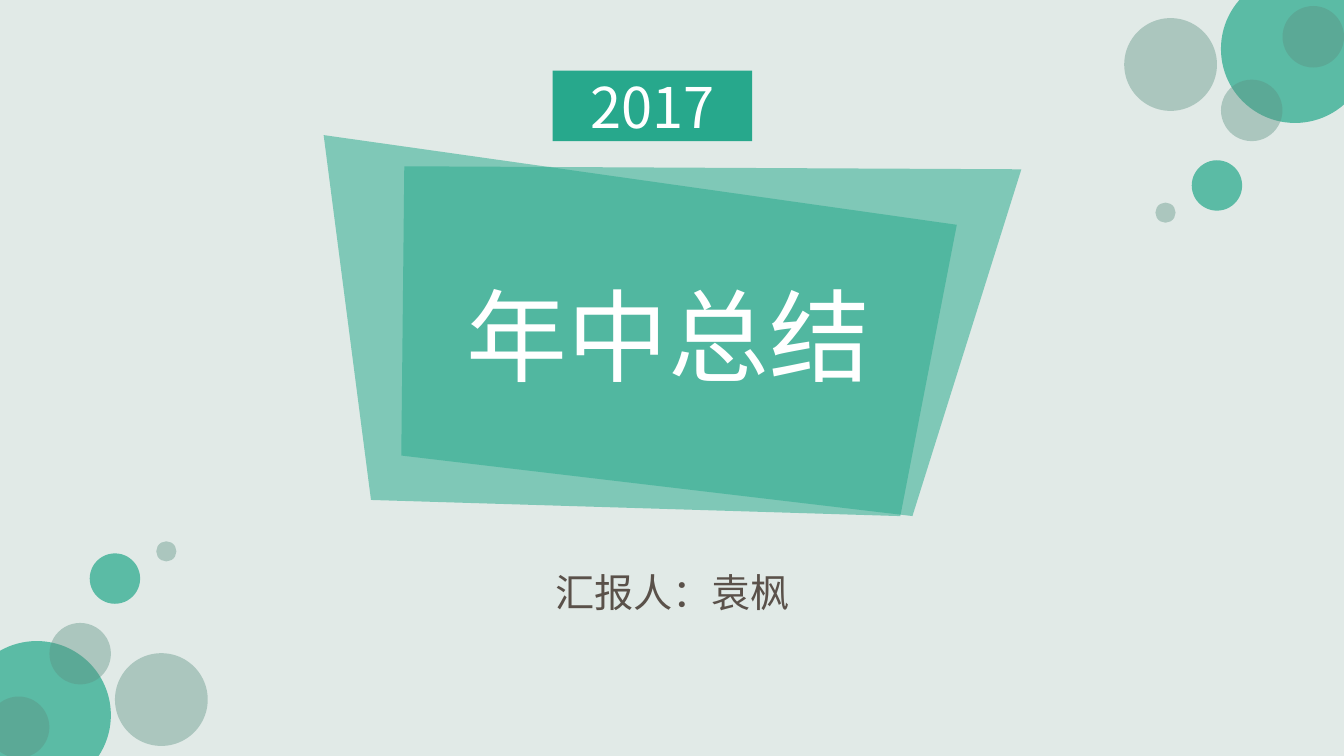
import pptx
import pptx.dml.color
import pptx.enum.shapes
import pptx.enum.text
import pptx.oxml.ns
import pptx.util
from dataclasses import dataclass
from lxml import etree

Inches = pptx.util.Inches
SHAPE = pptx.enum.shapes.MSO_SHAPE
ALIGN = pptx.enum.text.PP_ALIGN


@dataclass(frozen=True)
class Theme:
    background: str = "E1EAE7"
    banner: str = "27A98C"
    year_box: str = "27A88C"
    mint: str = "5BBBA5"
    sage: str = "5B9081"
    white: str = "FFFFFF"
    brown: str = "5A514A"
    font: str = "Noto Sans CJK JP"
    year_font: str = "Noto Sans CJK SC"
    title_size: int = 72
    year_size: int = 40
    reporter_size: int = 28
    banner_alpha: int = 52
    sage_alpha: int = 40


class SlideBuilder:
    def __init__(self, slide, theme):
        self.slide = slide
        self.theme = theme
        self.paint(slide.background.fill, theme.background)

    def paint(self, fill, color, alpha=100):
        """Fill with a solid colour; alpha is the opacity in percent."""
        fill.solid()
        fill.fore_color.rgb = pptx.dml.color.RGBColor.from_string(color)
        if alpha < 100:
            clr = fill._xPr.find(".//" + pptx.oxml.ns.qn("a:srgbClr"))
            etree.SubElement(clr, pptx.oxml.ns.qn("a:alpha"), val=str(alpha * 1000))

    def finish(self, sp, color, alpha=100):
        sp.shadow.inherit = False
        sp.line.fill.background()
        self.paint(sp.fill, color, alpha)
        return sp

    def shape(self, kind, box, color, alpha=100):
        sp = self.slide.shapes.add_shape(kind, *map(Inches, box))
        return self.finish(sp, color, alpha)

    def polygon(self, points, color, alpha=100):
        start, *rest = [(Inches(x), Inches(y)) for x, y in points]
        builder = self.slide.shapes.build_freeform(*start)
        builder.add_line_segments(rest, close=True)
        return self.finish(builder.convert_to_shape(), color, alpha)

    def label(self, sp, text, size, color, font, align):
        p = sp.text_frame.paragraphs[0]
        p.alignment = align
        r = p.add_run()
        r.text = text
        values = {"size": pptx.util.Pt(size), "name": font}
        for name, value in values.items():
            setattr(r.font, name, value)
        r.font.color.rgb = pptx.dml.color.RGBColor.from_string(color)
        etree.SubElement(r._r.get_or_add_rPr(), pptx.oxml.ns.qn("a:ea"), typeface=font)

    def text(self, box, *style):
        sp = self.slide.shapes.add_textbox(*map(Inches, box))
        values = {
            "word_wrap": True,
            "auto_size": pptx.enum.text.MSO_AUTO_SIZE.SHAPE_TO_FIT_TEXT,
        }
        for name, value in values.items():
            setattr(sp.text_frame, name, value)
        self.label(sp, *style)

    def bubbles(self, circles, turned=False):
        """Draw circles, optionally turned half round into the opposite corner."""
        t = self.theme
        for x, y, d, color in circles:
            if turned:
                x, y = 13.21 - x - d, 7.58 - y - d
            alpha = t.sage_alpha if color == t.sage else 100
            self.shape(SHAPE.OVAL, (x, y, d, d), color, alpha)


def main():
    prs = pptx.Presentation()
    prs.slide_width, prs.slide_height = Inches(13.33), Inches(7.5)
    t = Theme()
    s = SlideBuilder(prs.slides.add_slide(prs.slide_layouts[6]), t)

    banners = [
        [(3.21, 1.34), (9.49, 2.23), (8.93, 5.12), (3.68, 4.96)],
        [(4.01, 1.65), (10.13, 1.68), (9.05, 5.12), (3.98, 4.52)],
    ]
    for points in banners:
        s.polygon(points, t.banner, t.banner_alpha)

    s.text((4.53, 2.67, 4.28, 1.31), "年中总结", t.title_size, t.white, t.font, ALIGN.LEFT)
    s.text((3.83, 5.59, 5.68, 0.57), "汇报人：袁枫", t.reporter_size, t.brown, t.font,
           ALIGN.CENTER)

    circles = [
        (11.46, 2.01, 0.2, t.sage),
        (11.82, 1.59, 0.5, t.mint),
        (11.15, 0.18, 0.92, t.sage),
        (12.11, -0.25, 1.47, t.mint),
        (12.11, 0.79, 0.61, t.sage),
        (12.72, 0.06, 0.61, t.sage),
    ]
    s.bubbles(circles)
    s.bubbles(circles, turned=True)

    year = s.shape(SHAPE.RECTANGLE, (5.48, 0.7, 1.98, 0.7), t.year_box)
    year.text_frame.vertical_anchor = pptx.enum.text.MSO_ANCHOR.MIDDLE
    s.label(year, "2017", t.year_size, t.white, t.year_font, ALIGN.CENTER)

    prs.save("out.pptx")


if __name__ == "__main__":
    main()
